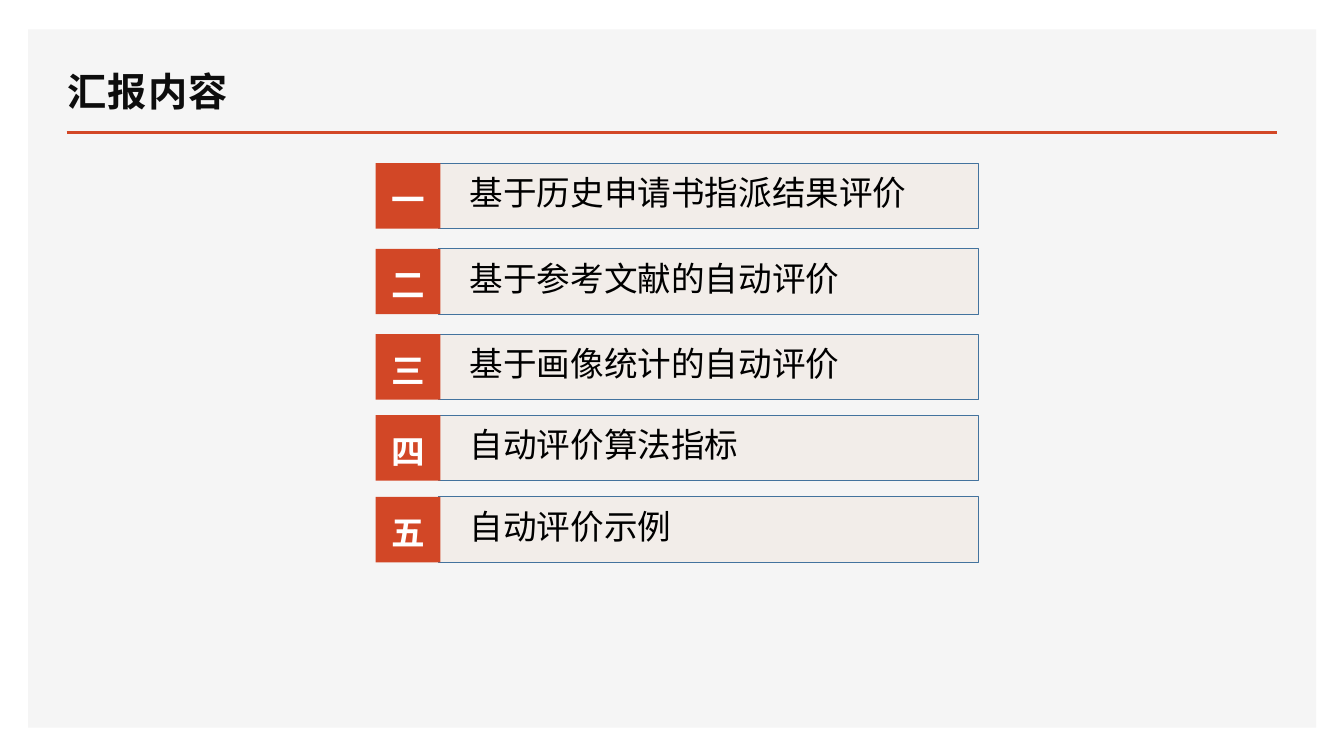
from lxml import etree
from pptx import Presentation
from pptx.dml.color import RGBColor
from pptx.enum.shapes import MSO_CONNECTOR, MSO_SHAPE
from pptx.enum.text import MSO_ANCHOR, MSO_AUTO_SIZE, PP_ALIGN
from pptx.oxml.ns import qn
from pptx.util import Cm, Pt

RECT = MSO_SHAPE.RECTANGLE
STRAIGHT = MSO_CONNECTOR.STRAIGHT
TOP, BOTTOM = MSO_ANCHOR.TOP, MSO_ANCHOR.BOTTOM
LEFT, CENTER = PP_ALIGN.LEFT, PP_ALIGN.CENTER
NO_FIT = MSO_AUTO_SIZE.NONE

COLORS = {
    "panel": "F5F5F5",
    "accent": "D24726",
    "bar": "C55A11",
    "bar_line": "43739E",
    "title": "0D0D0D",
    "text": "000000",
    "number": "FFFFFF",
}
TITLE = "汇报内容"
AGENDA = [
    ("一", "基于历史申请书指派结果评价", 4.11),
    ("二", "基于参考文献的自动评价", 6.27),
    ("三", "基于画像统计的自动评价", 8.42),
    ("四", "自动评价算法指标", 10.46),
    ("五", "自动评价示例", 12.52),
]


def rgb(name):
    return RGBColor.from_string(COLORS[name])


def add_box(shapes, x, y, w, h, fill):
    sp = shapes.add_shape(RECT, Cm(x), Cm(y), Cm(w), Cm(h))
    sp.shadow.inherit = False
    sp.fill.solid()
    sp.fill.fore_color.rgb = rgb(fill)
    sp.line.fill.background()
    return sp


def set_text(sp, text, size, font, color, bold, align, anchor, insets):
    tf = sp.text_frame
    tf.text = text
    tf.word_wrap = True
    tf.auto_size = NO_FIT
    tf.vertical_anchor = anchor
    tf.margin_left, tf.margin_top, tf.margin_right, tf.margin_bottom = map(Cm, insets)
    p = tf.paragraphs[0]
    p.alignment = align
    r = p.runs[0]
    r.font.size = Pt(size)
    r.font.name = font
    r.font.bold = bold
    r.font.color.rgb = rgb(color)
    return r


def add_backdrop(slide, x, y, w, h):
    panel = add_box(slide.shapes, x, y, w, h, "panel")
    slide.shapes.element.insert(2, panel.element)


def add_heading(slide, x, y, w, h):
    title = slide.shapes.title
    title.left, title.top, title.width, title.height = Cm(x - 0.23), Cm(y), Cm(19.1), Cm(h - 0.31)
    r = set_text(title, TITLE, 28, "Arial", "title", True, LEFT, BOTTOM, (0.25, 0.13, 0.25, 0.13))
    r.font.element.set("spc", "100") if hasattr(r.font, "element") else r._r.get_or_add_rPr().set("spc", "100")
    rule = slide.shapes.add_connector(STRAIGHT, Cm(x), Cm(y + h), Cm(x + w), Cm(y + h))
    rule.line.color.rgb = rgb("accent")
    rule.line.width = Pt(2)
    etree.SubElement(rule.element.spPr, qn("a:effectLst"))


def add_agenda_item(slide, x, y, w, h, number, text):
    group = slide.shapes.add_group_shape()
    bar = add_box(group.shapes, x + 1.58, y, w - 1.58, h, "bar")
    color = bar.fill.fore_color._xFill.find(qn("a:srgbClr"))
    etree.SubElement(color, qn("a:alpha")).set("val", "5000")
    bar.line.color.rgb = rgb("bar_line")
    bar.line.width = Pt(0.5)
    set_text(bar, text, 24, "Karla", "text", False, LEFT, TOP, (0.79, 0.23, 0.25, 0.13))
    badge = add_box(group.shapes, x, y, 1.63, h, "accent")
    set_text(badge, number, 24, "Arial", "number", True, CENTER, TOP, (0, 0.39, 0, 0))


def add_agenda_slide(prs):
    slide = prs.slides.add_slide(prs.slide_layouts[5])
    add_backdrop(slide, 0.71, 0.74, 32.46, 17.6)
    add_heading(slide, 1.68, 1.24, 30.5, 2.09)
    for number, text, y in AGENDA:
        add_agenda_item(slide, 9.47, y, 15.19, 1.65, number, text)


def main():
    prs = Presentation()
    prs.slide_width, prs.slide_height = Cm(33.87), Cm(19.05)
    add_agenda_slide(prs)
    prs.save("out.pptx")


if __name__ == "__main__":
    main()
